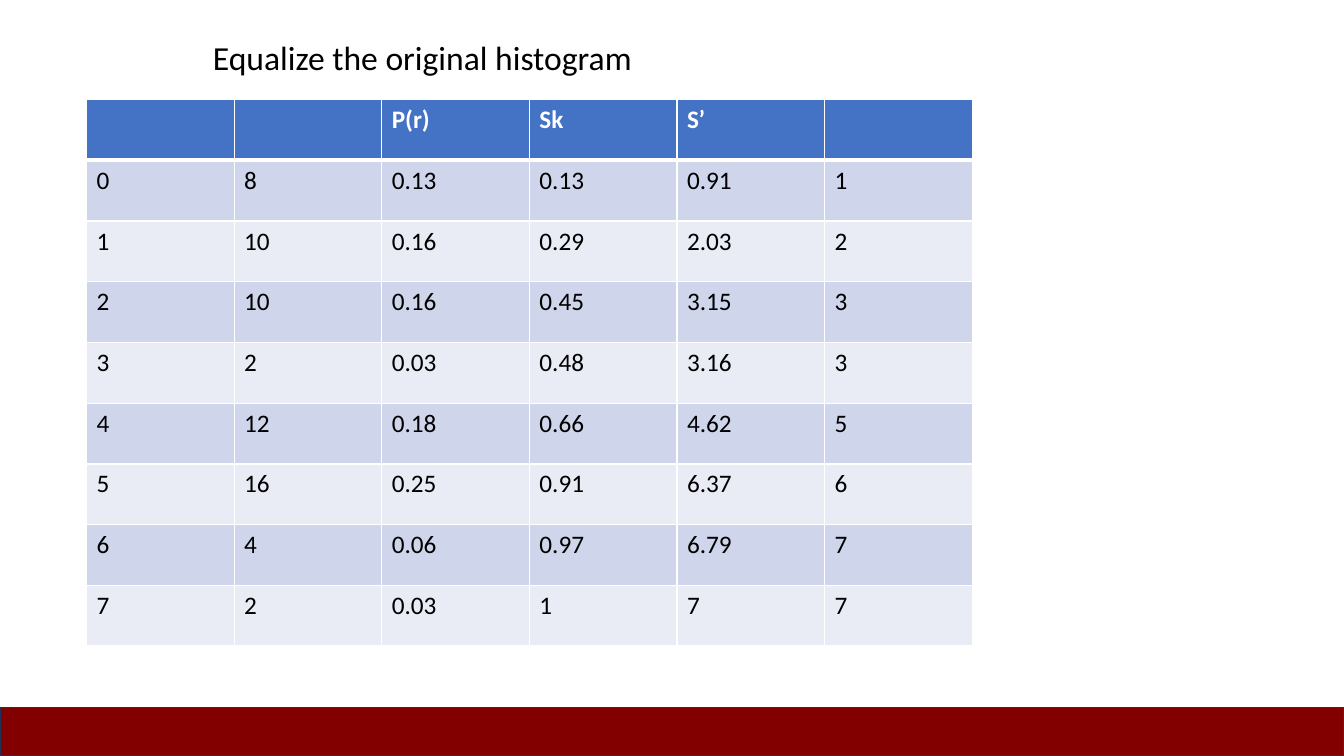
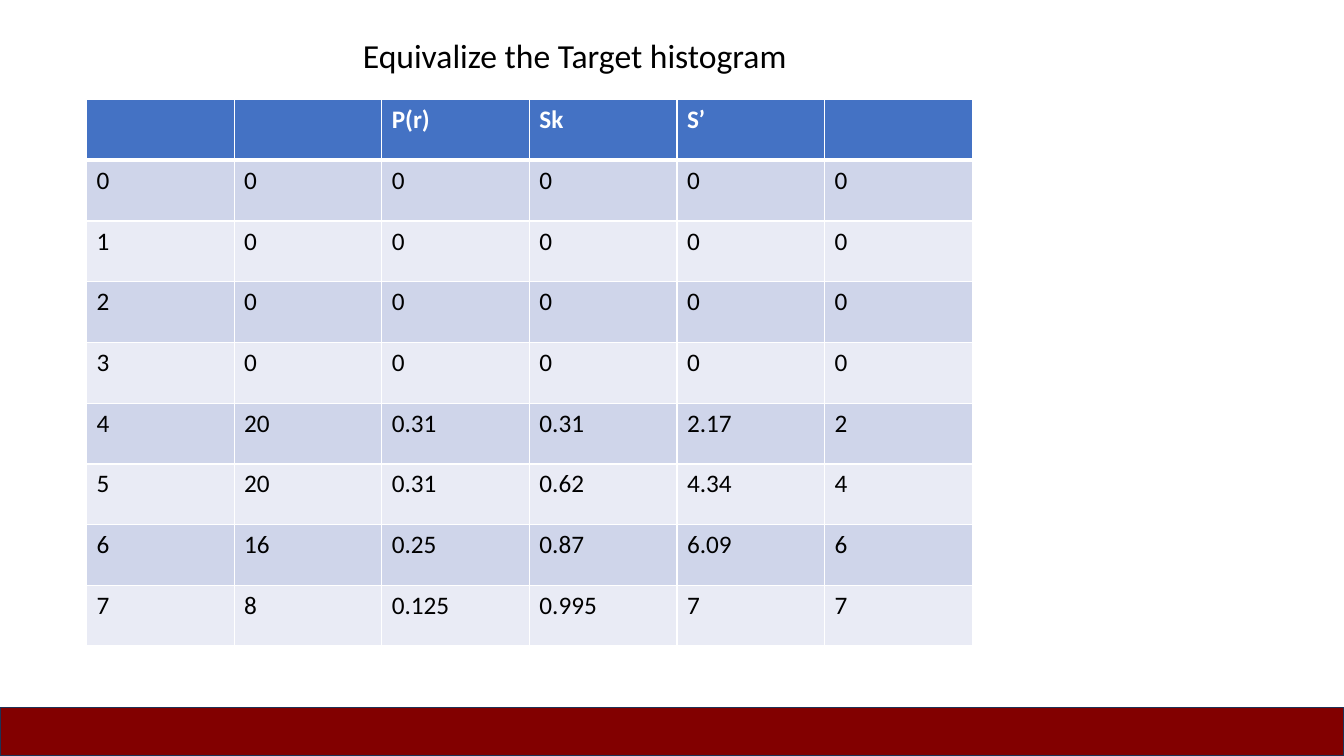
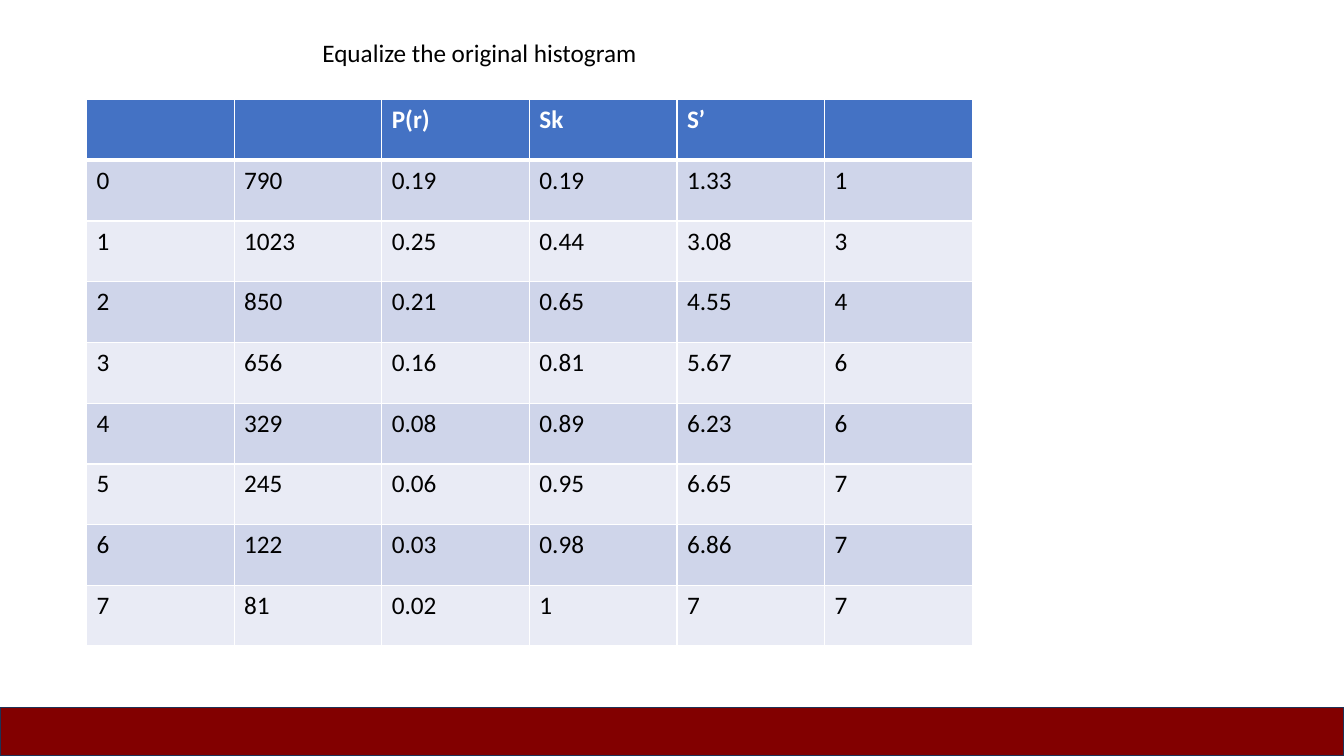
from lxml import etree
from pptx import Presentation
from pptx import util as u
from pptx.dml.color import RGBColor
from pptx.enum import shapes, text
from pptx.oxml import ns

FONT = "Calibri"
WHITE, BLACK = "FFFFFF", "000000"
HEADER_FILL = "4472C4"
ROW_FILLS = ("CFD5EA", "E9EBF5")
BAND_FILL, BAND_LINE = "820000", "1E3256"
SLIDE_W, SLIDE_H = u.Cm(33.87), u.Cm(19.05)
BAND_H = u.Cm(1.22)
TABLE_LEFT, TABLE_TOP = u.Cm(2.18), u.Cm(2.51)
COL_W, ROW_H = u.Cm(3.72), u.Cm(1.53)

HEADER = ["", "", "P(r)", "Sk", "S’", ""]

ORIGINAL = """
0 8 0.13 0.13 0.91 1
1 10 0.16 0.29 2.03 2
2 10 0.16 0.45 3.15 3
3 2 0.03 0.48 3.16 3
4 12 0.18 0.66 4.62 5
5 16 0.25 0.91 6.37 6
6 4 0.06 0.97 6.79 7
7 2 0.03 1 7 7
"""

TARGET = """
0 0 0 0 0 0
1 0 0 0 0 0
2 0 0 0 0 0
3 0 0 0 0 0
4 20 0.31 0.31 2.17 2
5 20 0.31 0.62 4.34 4
6 16 0.25 0.87 6.09 6
7 8 0.125 0.995 7 7
"""

LARGE_ORIGINAL = """
0 790 0.19 0.19 1.33 1
1 1023 0.25 0.44 3.08 3
2 850 0.21 0.65 4.55 4
3 656 0.16 0.81 5.67 6
4 329 0.08 0.89 6.23 6
5 245 0.06 0.95 6.65 7
6 122 0.03 0.98 6.86 7
7 81 0.02 1 7 7
"""


def rgb(color):
    return RGBColor.from_string(color)


def put_text(tf, content, size=18, color=BLACK, bold=False):
    p = tf.paragraphs[0]
    p.alignment = text.PP_ALIGN.LEFT
    p.font.size = u.Pt(size)
    if content:
        r = p.add_run()
        r.text = content
        r.font.name = FONT
        r.font.size = u.Pt(size)
        r.font.bold = bold
        r.font.color.rgb = rgb(color)


def add_border(cell, side, width):
    ln = etree.SubElement(cell._tc.get_or_add_tcPr(), ns.qn(f"a:ln{side}"),
                          w=str(u.Pt(width)))
    fill = etree.SubElement(ln, ns.qn("a:solidFill"))
    etree.SubElement(fill, ns.qn("a:srgbClr"), val=WHITE)


def format_cell(cell, content, row):
    is_header = row == 0
    widths = {"L": 1, "R": 1, "T": 3 if row == 1 else 1, "B": 3 if is_header else 1}
    for side, width in widths.items():
        add_border(cell, side, width)
    cell.fill.solid()
    cell.fill.fore_color.rgb = rgb(HEADER_FILL if is_header else ROW_FILLS[(row - 1) % 2])
    put_text(cell.text_frame, content, color=WHITE if is_header else BLACK, bold=is_header)


def add_histogram_table(slide, data):
    rows = [HEADER] + [line.split() for line in data.strip().splitlines()]
    table = slide.shapes.add_table(len(rows), len(HEADER), TABLE_LEFT, TABLE_TOP,
                                   COL_W * len(HEADER), ROW_H * len(rows)).table
    for col in table.columns:
        col.width = COL_W
    for i, values in enumerate(rows):
        table.rows[i].height = ROW_H
        for j, value in enumerate(values):
            format_cell(table.cell(i, j), value, i)


def set_title(slide, content, left, top, width, height, size):
    sp = slide.shapes.title
    sp.left, sp.top, sp.width, sp.height = map(u.Cm, (left, top, width, height))
    tf = sp.text_frame
    tf.word_wrap = True
    tf.auto_size = text.MSO_AUTO_SIZE.SHAPE_TO_FIT_TEXT
    tf.vertical_anchor = text.MSO_ANCHOR.TOP
    put_text(tf, content, size=size)


def add_band(slide):
    sp = slide.shapes.add_shape(shapes.MSO_SHAPE.RECTANGLE, 0, SLIDE_H - BAND_H,
                                SLIDE_W, BAND_H)
    sp.shadow.inherit = False
    sp.fill.solid()
    sp.fill.fore_color.rgb = rgb(BAND_FILL)
    sp.line.color.rgb = rgb(BAND_LINE)
    sp.line.width = u.Pt(1)


def add_histogram_slide(prs, title, box, size, data):
    slide = prs.slides.add_slide(prs.slide_layouts.get_by_name("Title Only"))
    set_title(slide, title, *box, size)
    add_histogram_table(slide, data)
    add_band(slide)


def main():
    prs = Presentation()
    prs.slide_width, prs.slide_height = SLIDE_W, SLIDE_H
    add_histogram_slide(prs, "Equalize the original histogram",
                        (5.11, 0.81, 12.22, 1.27), 24, ORIGINAL)
    add_histogram_slide(prs, "Equivalize the Target histogram",
                        (8.89, 0.76, 12.34, 1.27), 24, TARGET)
    add_histogram_slide(prs, "Equalize the original histogram",
                        (7.87, 0.81, 9.42, 1.02), 18, LARGE_ORIGINAL)
    prs.save("out.pptx")


if __name__ == "__main__":
    main()
